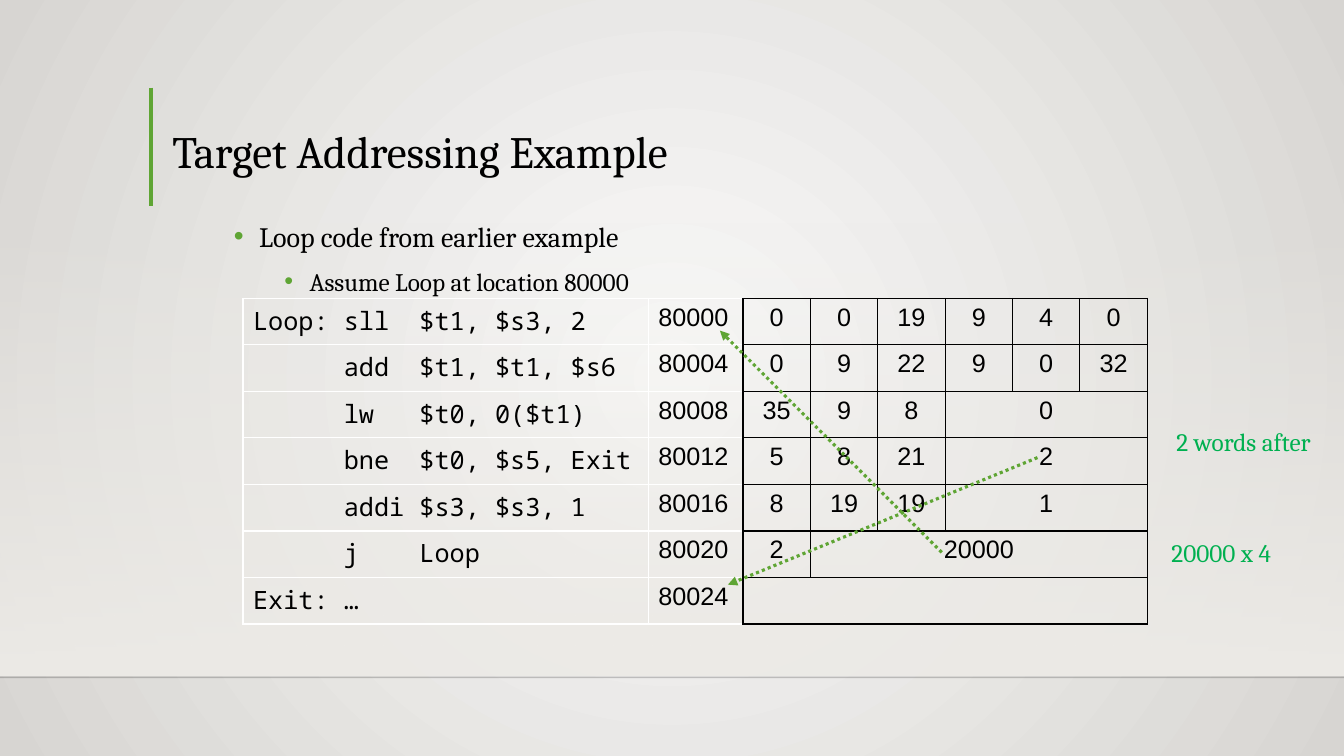
from lxml import etree
from pptx import Presentation
from pptx.dml.color import RGBColor
from pptx.enum import dml, shapes, text
from pptx.oxml import parse_xml
from pptx.oxml.ns import nsdecls, qn
from pptx.util import Inches, Pt

BLACK = RGBColor(0x00, 0x00, 0x00)
WHITE = RGBColor(0xFF, 0xFF, 0xFF)
GREEN = RGBColor(0x5F, 0xA5, 0x34)
NOTE_GREEN = RGBColor(0x00, 0xB0, 0x50)
CENTRE_GREY = RGBColor(0xFA, 0xFA, 0xF9)
EDGE_GREY = RGBColor(0xD7, 0xD5, 0xD2)
WALL = RGBColor(0xED, 0xEB, 0xE7)

SERIF, SANS, MONO = "Cambria", "Arial", "Noto Sans Mono"

# label, operation, operands, address, machine fields as (value, columns spanned)
PROGRAM = [
    ("Loop:", "sll", "$t1, $s3, 2", [("0", 1), ("0", 1), ("19", 1), ("9", 1), ("4", 1), ("0", 1)]),
    ("", "add", "$t1, $t1, $s6", [("0", 1), ("9", 1), ("22", 1), ("9", 1), ("0", 1), ("32", 1)]),
    ("", "lw", "$t0, 0($t1)", [("35", 1), ("9", 1), ("8", 1), ("0", 3)]),
    ("", "bne", "$t0, $s5, Exit", [("5", 1), ("8", 1), ("21", 1), ("2", 3)]),
    ("", "addi", "$s3, $s3, 1", [("8", 1), ("19", 1), ("19", 1), ("1", 3)]),
    ("", "j", "Loop", [("2", 1), ("20000", 5)]),
    ("Exit:", "…", "", [("", 6)]),
]
FIRST_ADDRESS, WORD = 80000, 4
FIELD_COUNT = 6


def set_font(para, name, size, color=BLACK):
    para.font.name = name
    para.font.size = Pt(size)
    para.font.color.rgb = color


def place(shape, left, top, width, height):
    shape.left, shape.top = Inches(left), Inches(top)
    shape.width, shape.height = Inches(width), Inches(height)


def add_line(page, start, end, color, width):
    line = page.shapes.add_connector(
        shapes.MSO_CONNECTOR.STRAIGHT, *(Inches(value) for value in start + end))
    line.line.color.rgb = color
    line.line.width = Pt(width)
    etree.SubElement(line._element.spPr, qn("a:effectLst"))
    return line


def add_backdrop(page, width, height):
    # Radial background
    page._element.cSld.insert(0, parse_xml(
        f'<p:bg {nsdecls("p", "a")}><p:bgPr><a:gradFill><a:gsLst>'
        f'<a:gs pos="0"><a:srgbClr val="{CENTRE_GREY}"/></a:gs>'
        f'<a:gs pos="100000"><a:srgbClr val="{EDGE_GREY}"/></a:gs></a:gsLst>'
        '<a:path path="circle"><a:fillToRect l="50000" t="50000" r="50000" b="50000"/></a:path>'
        '</a:gradFill><a:effectLst/></p:bgPr></p:bg>'))
    # Wall that fades in towards the floor line
    wall_height, floor = 4.5, height - 0.78
    wall = page.shapes.add_shape(
        shapes.MSO_SHAPE.RECTANGLE, 0, Inches(2.2), Inches(width), Inches(wall_height))
    wall.shadow.inherit = False
    wall.line.fill.background()
    wall.fill.gradient()
    wall.fill.gradient_angle = 270
    for stop in wall.fill.gradient_stops:
        stop.color.rgb = WALL
    first_color = wall._element.spPr.find(".//" + qn("a:srgbClr"))
    etree.SubElement(first_color, qn("a:alpha"), val="0")
    # Floor line
    line = add_line(page, (0, floor), (width, floor), BLACK, 1)
    color = line._element.spPr.find(".//" + qn("a:srgbClr"))
    etree.SubElement(color, qn("a:alpha"), val="20000")


def add_heading(page, left, top, width, height):
    add_line(page, (left - 0.11, top + 0.2), (left - 0.11, top + 1.37), GREEN, 3)
    title = page.shapes.title
    page.shapes._spTree.append(title._element)
    place(title, left, top, width, height)
    frame = title.text_frame
    frame.text = "Target Addressing Example"
    frame.vertical_anchor = text.MSO_ANCHOR.BOTTOM
    frame.auto_size = text.MSO_AUTO_SIZE.NONE
    para = frame.paragraphs[0]
    para.alignment = text.PP_ALIGN.LEFT
    para.line_spacing = 0.9
    set_font(para, SERIF, 32)


def add_bullets(page, left, top, width, height):
    body = page.placeholders[1]
    page.shapes._spTree.append(body._element)
    place(body, left, top, width, height)
    frame = body.text_frame
    frame.auto_size = text.MSO_AUTO_SIZE.NONE
    frame.text = "Loop code from earlier example\nAssume Loop at location 80000"
    for level, (para, size, before) in enumerate(zip(frame.paragraphs, (20, 18), (10, 5))):
        para.level = level
        para.line_spacing = 1.2
        para.space_before = Pt(before)
        set_font(para, SERIF, size)
        props = para._p.get_or_add_pPr()
        props.set("marL", str(Inches(0.25 + 0.5 * level)))
        props.set("indent", str(-Inches(0.25)))
        bullet_color = etree.Element(qn("a:buClr"))
        etree.SubElement(bullet_color, qn("a:srgbClr"), val=str(GREEN))
        bullet = etree.Element(qn("a:buChar"), char="•")
        props.find(qn("a:defRPr")).addprevious(bullet_color)
        bullet_color.addnext(bullet)


def style_cell(cell, left, right, top, bottom):
    for side, color in zip("LRTB", (left, right, top, bottom)):
        cell._tc.get_or_add_tcPr().append(parse_xml(
            f'<a:ln{side} {nsdecls("a")} w="{Pt(1)}"><a:solidFill>'
            f'<a:srgbClr val="{color}"/></a:solidFill></a:ln{side}>'))
    cell.fill.background()


def write_cell(cell, words, font, alignment=text.PP_ALIGN.LEFT):
    cell.text = words
    para = cell.text_frame.paragraphs[0]
    para.alignment = alignment
    set_font(para, font, 18)


def add_program_table(page, left, top, width, height):
    frame = page.shapes.add_table(
        len(PROGRAM), 2 + FIELD_COUNT, Inches(left), Inches(top), Inches(width), Inches(height))
    table = frame.table
    table.first_row = table.horz_banding = False
    code_width, address_width = 4.02, 0.94
    field_width = (width - code_width - address_width) / FIELD_COUNT
    for column, size in zip(table.columns, [code_width, address_width] + [field_width] * FIELD_COUNT):
        column.width = Inches(size)

    for row, (label, operation, operands, fields) in enumerate(PROGRAM):
        style_cell(table.cell(row, 0), WHITE, WHITE, WHITE, WHITE)
        style_cell(table.cell(row, 1), WHITE, BLACK, WHITE, WHITE)
        for column in range(2, 2 + FIELD_COUNT):
            style_cell(table.cell(row, column), BLACK, BLACK, BLACK, BLACK)
        write_cell(table.cell(row, 0), f"{label:<6}{operation:<5}{operands}".rstrip(), MONO)
        write_cell(table.cell(row, 1), str(FIRST_ADDRESS + WORD * row), SANS)
        column = 2
        for value, span in fields:
            cell = table.cell(row, column)
            if span > 1:
                cell.merge(table.cell(row, column + span - 1))
            write_cell(cell, value, SANS, text.PP_ALIGN.CENTER)
            column += span


def add_jump_arrow(page, start, end):
    arrow = add_line(page, start, end, GREEN, 2.25)
    arrow.line.dash_style = dml.MSO_LINE.ROUND_DOT
    etree.SubElement(arrow.line._get_or_add_ln(), qn("a:tailEnd"), type="triangle")


def add_note(page, words, left, top, width, height):
    box = page.shapes.add_textbox(Inches(left), Inches(top), Inches(width), Inches(height))
    box.text_frame.word_wrap = False
    box.text_frame.text = words
    set_font(box.text_frame.paragraphs[0], SERIF, 18, NOTE_GREEN)


def main():
    deck = Presentation()
    deck.slide_width, deck.slide_height = Inches(13.33), Inches(7.5)
    page = deck.slides.add_slide(deck.slide_layouts[1])

    add_backdrop(page, 13.33, 7.5)
    add_heading(page, 1.61, 0.67, 10.41, 1.15)
    add_bullets(page, 2.22, 2.06, 9.05, 1.34)
    add_program_table(page, 2.41, 2.96, 8.97, 3.23)

    # Jump back to Loop, branch forward to Exit
    add_jump_arrow(page, (9.34, 5.48), (7.14, 3.28))
    add_jump_arrow(page, (10.29, 4.54), (7.22, 5.8))
    add_note(page, "2 words after", 11.57, 4.18, 1.67, 0.71)
    add_note(page, "20000 x 4", 11.52, 5.28, 1.22, 0.4)

    deck.save("out.pptx")


if __name__ == "__main__":
    main()
